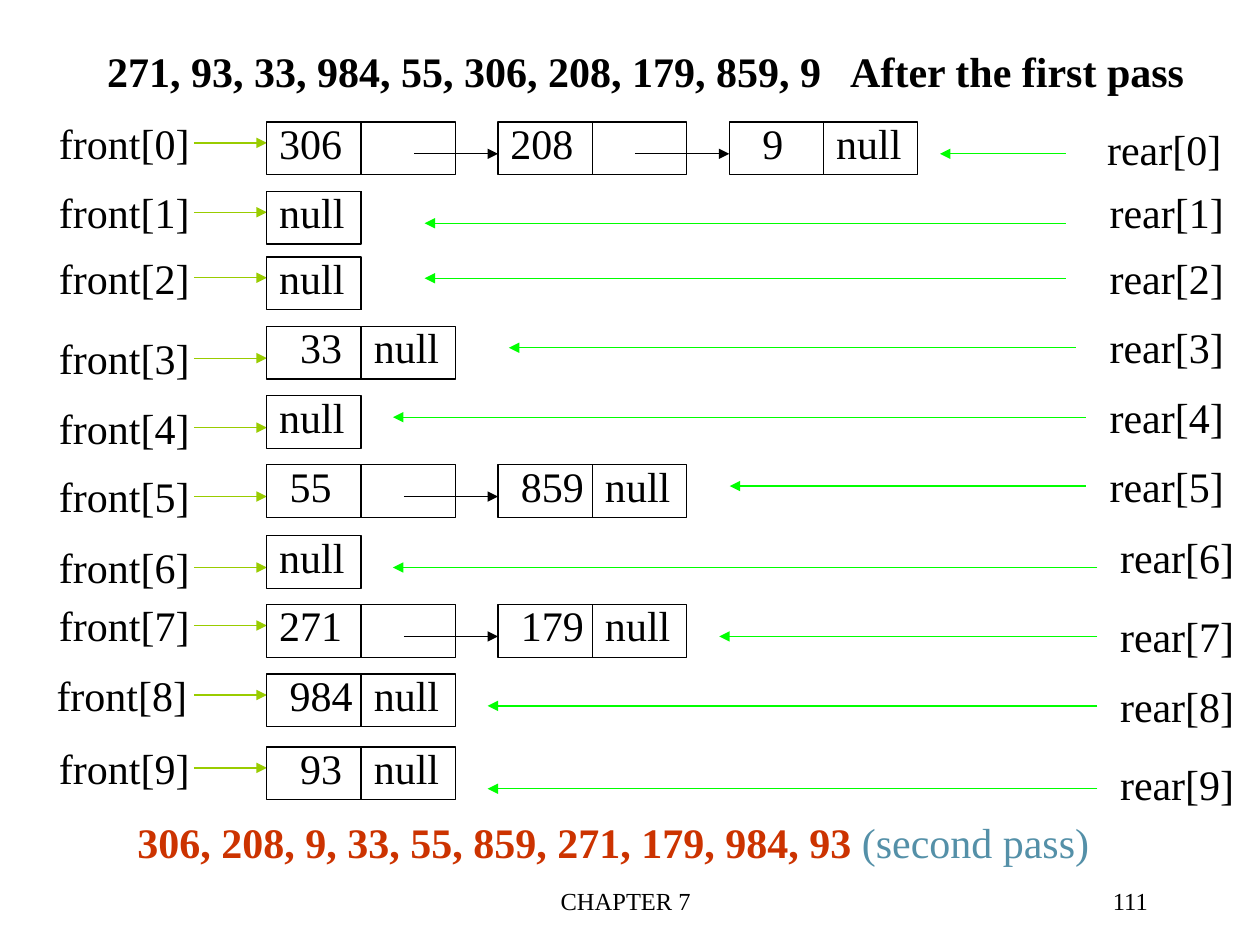
from dataclasses import dataclass

from lxml import etree
from pptx import Presentation
from pptx import util as u
from pptx.dml.color import RGBColor
from pptx.enum import shapes, text
from pptx.oxml.ns import qn

BLACK = RGBColor(0x00, 0x00, 0x00)
OLIVE = RGBColor(0x99, 0xCC, 0x00)
GREEN = RGBColor(0x00, 0xFF, 0x00)
RED = RGBColor(0xCC, 0x33, 0x00)
TEAL = RGBColor(0x54, 0x90, 0xA8)
FONT = "Times New Roman"

# All lengths are centimetres
NODE_LEFT, NODE_STEP = 5.38, 4.66
CELL_WIDTH, NODE_HEIGHT = 1.9, 1.06
LABEL_HEIGHT = 1.27
RAISED = -0.22  # text lifted above the top of its row
HALF_LABEL = 0.64


@dataclass
class Row:
    top: float
    nodes: list  # (value, indent of the value, start of the arrow to the next node)
    front_shift: float
    rear_left: float
    rear_shift: float
    arrow_start: float
    arrow_end: float
    arrow_shift: float


ROWS = [
    Row(2.46, [("306", 0, 2.97), ("208", 0, 2.76), ("9", 0.42, 0)],
        RAISED, 22.07, -0.1, 21.49, 18.95, 0.64),
    Row(3.86, [], RAISED, 22.12, RAISED, 21.49, 8.56, 0.64),
    Row(5.18, [], RAISED, 22.12, RAISED, 21.49, 8.56, 0.43),
    Row(6.58, [("33", 0.42, 0)], 0, 22.12, RAISED, 21.69, 10.26, 0.43),
    Row(7.98, [], 0, 22.12, RAISED, 21.89, 7.92, 0.43),
    Row(9.37, [("55", 0.21, 2.76), ("859", 0.21, 0)],
        0, 22.12, RAISED, 21.89, 14.71, 0.43),
    Row(10.8, [], 0, 22.33, RAISED, 22.12, 7.92, 0.64),
    Row(12.19, [("271", 0, 2.76), ("179", 0.21, 0)],
        RAISED, 22.33, 0, 22.12, 14.5, 0.64),
    Row(13.59, [("984", 0.21, 0)], RAISED, 22.33, 0, 22.12, 9.83, 0.64),
    Row(15.06, [("93", 0.42, 0)], RAISED, 22.33, 0.1, 22.12, 9.83, 0.84),
]


def add_text(slide, left, top, width, runs, size=24, align=text.PP_ALIGN.LEFT,
             tab=None):
    """Place one line of text; runs holds (words, colour, bold)."""
    box = slide.shapes.add_textbox(u.Cm(left), u.Cm(top), u.Cm(width),
                                   u.Cm(LABEL_HEIGHT))
    box.text_frame.word_wrap = False
    paragraph = box.text_frame.paragraphs[0]
    paragraph.alignment = align
    if tab:
        tabs = etree.SubElement(paragraph._p.get_or_add_pPr(), qn("a:tabLst"))
        etree.SubElement(tabs, qn("a:tab"), pos=str(u.Cm(tab)), algn="l")
    for words, colour, bold in runs:
        run = paragraph.add_run()
        run.text = words
        run.font.name = FONT
        run.font.size = u.Pt(size)
        run.font.bold = bold
        run.font.color.rgb = colour


def add_label(slide, left, top, width, words, align=text.PP_ALIGN.LEFT):
    add_text(slide, left, top, width, [(words, BLACK, False)], align=align)


def add_line(slide, start, end, colour=BLACK, arrow=True):
    line = slide.shapes.add_connector(
        shapes.MSO_CONNECTOR.STRAIGHT, *(u.Cm(value) for value in start + end))
    line.line.color.rgb = colour
    line.line.width = u.Pt(0.75)
    if arrow:
        etree.SubElement(line.line._get_or_add_ln(), qn("a:tailEnd"),
                         type="triangle")
    etree.SubElement(line._element.spPr, qn("a:effectLst"))


def add_node(slide, left, top, cells):
    """Outline of one or two cells, with the line after the first cell."""
    outline = slide.shapes.add_shape(
        shapes.MSO_SHAPE.RECTANGLE, u.Cm(left), u.Cm(top),
        u.Cm(CELL_WIDTH * cells), u.Cm(NODE_HEIGHT))
    outline.shadow.inherit = False
    outline.fill.background()
    outline.line.color.rgb = BLACK
    outline.line.width = u.Pt(0.75)
    divider = left + CELL_WIDTH
    add_line(slide, (divider, top), (divider, top + NODE_HEIGHT), arrow=False)


def add_chain(slide, left, top, nodes):
    """Linked nodes of one queue, or a single null cell."""
    text_top = top + RAISED
    if not nodes:
        add_node(slide, left, top, 1)
        add_label(slide, left, text_top, 1.83, "null")
    for index, (value, indent, link_start) in enumerate(nodes):
        node_left = left + index * NODE_STEP
        add_node(slide, node_left, top, 2)
        add_label(slide, node_left + indent, text_top,
                  0.51 + 0.42 * len(value), value)
        if link_start:
            link_y = top + HALF_LABEL
            add_line(slide, (node_left + link_start, link_y),
                     (node_left + NODE_STEP, link_y))
        else:
            add_label(slide, node_left + CELL_WIDTH, text_top, 1.83, "null",
                      text.PP_ALIGN.CENTER)


def add_queue(slide, index, row):
    """One row: front pointer, chain and rear pointer."""
    # Front pointer
    front_top = row.top + row.front_shift
    front_left = 0.89 if index == 8 else 0.94
    add_label(slide, front_left, front_top, 3.15, f"front[{index}]")
    front_y = front_top + HALF_LABEL
    add_line(slide, (3.91, front_y), (NODE_LEFT, front_y), OLIVE)
    # Chain
    add_chain(slide, NODE_LEFT, row.top, row.nodes)
    # Rear pointer
    rear_y = row.top + row.arrow_shift
    add_line(slide, (row.arrow_start, rear_y), (row.arrow_end, rear_y), GREEN)
    add_label(slide, row.rear_left, row.top + row.rear_shift, 2.82,
              f"rear[{index}]")


def add_headings(slide):
    """Sequence before and after the pass."""
    add_text(slide, 1.91, 0.79, 22.3,
             [("271, 93, 33, 984, 55, 306, 208, 179, 859, 9\tAfter the first pass",
               BLACK, True)], tab=14.98)
    add_text(slide, 2.51, 16.33, 19.71,
             [("306, 208, 9, 33, 55, 859, 271, 179, 984, 93 ", RED, True),
              ("(second pass)", TEAL, False)], align=text.PP_ALIGN.CENTER)


def add_footer(slide, top):
    add_text(slide, 8.59, top, 8.05, [("CHAPTER 7", BLACK, False)], 14,
             text.PP_ALIGN.CENTER)
    add_text(slide, 18.11, top, 5.28, [("111", BLACK, False)], 14,
             text.PP_ALIGN.RIGHT)


def main():
    presentation = Presentation()
    presentation.slide_width = u.Cm(25.4)
    presentation.slide_height = u.Cm(19.05)
    slide = presentation.slides.add_slide(presentation.slide_layouts[6])
    add_footer(slide, 17.73)
    for index, row in enumerate(ROWS):
        add_queue(slide, index, row)
    add_headings(slide)
    presentation.save("out.pptx")


if __name__ == "__main__":
    main()
